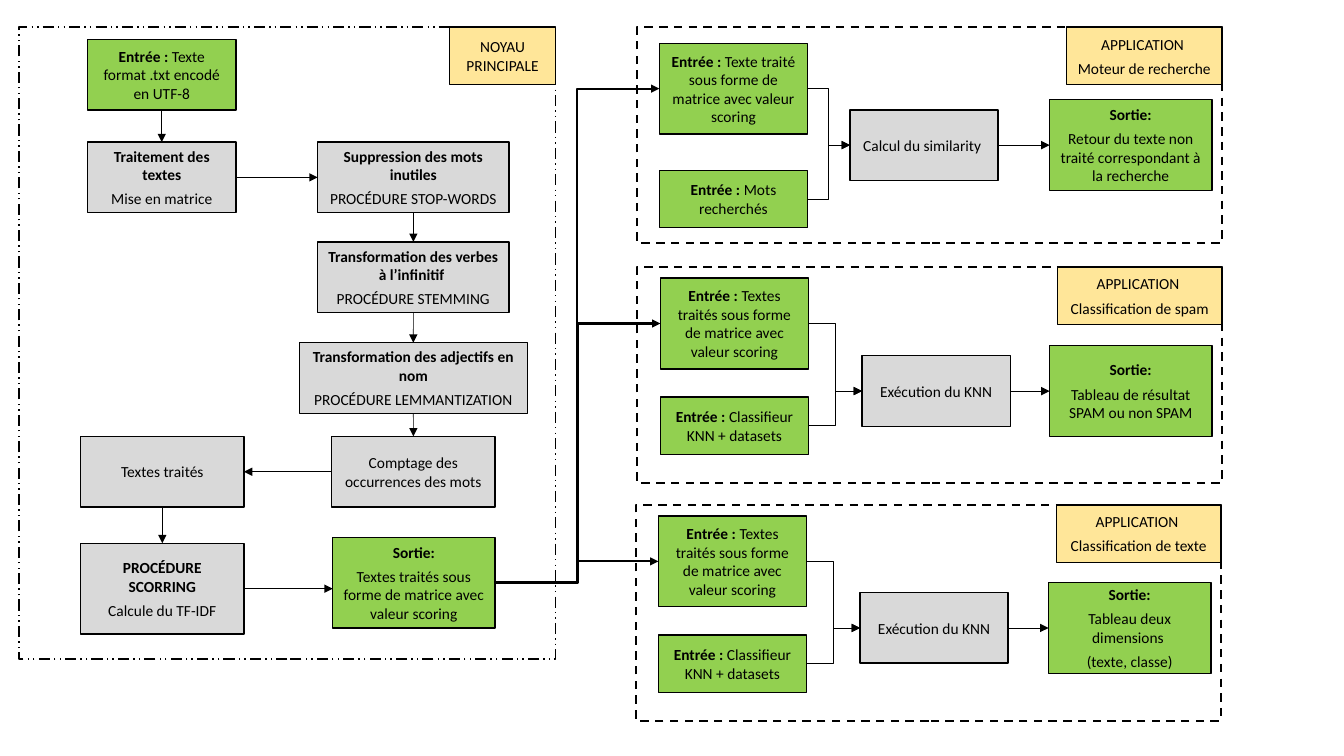
from dataclasses import dataclass
from typing import NamedTuple

from lxml.etree import SubElement
from pptx import Presentation
from pptx.dml.color import RGBColor
from pptx.enum.dml import MSO_LINE
from pptx.enum.shapes import MSO_CONNECTOR, MSO_SHAPE
from pptx.enum.text import MSO_ANCHOR, PP_ALIGN
from pptx.oxml.ns import qn
from pptx.shapes.autoshape import Shape
from pptx.slide import Slide
from pptx.util import Inches, Pt

GREEN, GREY, YELLOW, BLACK = "92D050", "D9D9D9", "FFE699", "000000"
TOP, LEFT, BOTTOM, RIGHT = range(4)


class Para(NamedTuple):
    bold: str = ""
    plain: str = ""


@dataclass
class Box:
    left: float
    top: float
    width: float
    height: float
    fill: str
    paras: list[Para]

    def site(self, side: int) -> tuple[float, float]:
        """Middle of one side, in inches."""
        across, down = {TOP: (0.5, 0), LEFT: (0, 0.5), BOTTOM: (0.5, 1), RIGHT: (1, 0.5)}[side]
        return self.left + across * self.width, self.top + down * self.height


@dataclass
class Application:
    left: float
    top: float
    label_width: float
    name: str
    text_input: str
    second_input: str
    step: str
    output: list[str]
    input_dx: float = 0.22
    input_dy: float = 0.11
    second_dy: float = 1.29
    step_dx: float = 2.22
    step_dy: float = 0.87


CORE = {
    "input": Box(0.87, 0.39, 1.47, 0.7, GREEN, [Para("Entrée : ", "Texte format .txt encodé en UTF-8")]),
    "matrix": Box(0.87, 1.41, 1.47, 0.7, GREY,
                  [Para("Traitement des textes"), Para(plain="Mise en matrice")]),
    "stop_words": Box(3.15, 1.41, 1.9, 0.7, GREY,
                      [Para("Suppression des mots inutiles"), Para(plain="PROCÉDURE STOP-WORDS")]),
    "stemming": Box(3.15, 2.4, 1.9, 0.7, GREY,
                    [Para("Transformation des verbes à l’infinitif "), Para(plain="PROCÉDURE STEMMING")]),
    "lemmas": Box(2.97, 3.4, 2.26, 0.7, GREY,
                  [Para("Transformation des adjectifs en nom"), Para(plain="PROCÉDURE LEMMANTIZATION")]),
    "count": Box(3.29, 4.33, 1.62, 0.7, GREY, [Para(plain="Comptage des occurrences des mots")]),
    "treated": Box(0.8, 4.33, 1.62, 0.7, GREY, [Para(plain="Textes traités")]),
    "scoring": Box(0.8, 5.39, 1.62, 0.9, GREY,
                   [Para("PROCÉDURE SCORRING"), Para(plain="Calcule du TF-IDF")]),
    "output": Box(3.3, 5.33, 1.61, 0.9, GREEN,
                  [Para("Sortie:"), Para(plain="Textes traités sous forme de matrice avec valeur scoring")]),
}
CORE_LINKS = [
    ("input", BOTTOM, "matrix", TOP),
    ("matrix", RIGHT, "stop_words", LEFT),
    ("stop_words", BOTTOM, "stemming", TOP),
    ("stemming", BOTTOM, "lemmas", TOP),
    ("lemmas", BOTTOM, "count", TOP),
    ("count", LEFT, "treated", RIGHT),
    ("treated", BOTTOM, "scoring", TOP),
    ("scoring", RIGHT, "output", LEFT),
]
TREATED_TEXTS = "Textes traités sous forme de matrice avec valeur scoring"
APPLICATIONS = [
    Application(6.32, 0.27, 1.54, "Moteur de recherche",
                "Texte traité sous forme de matrice avec valeur scoring", "Mots recherchés",
                "Calcul du similarity ", ["Retour du texte non traité correspondant à la recherche"],
                input_dy=0.16, second_dy=1.42, step_dx=2.11, step_dy=0.82),
    Application(6.32, 2.65, 1.63, "Classification de spam", TREATED_TEXTS, "Classifieur KNN + datasets",
                "Exécution du KNN", ["Tableau de résultat SPAM ou non SPAM"],
                input_dx=0.23, step_dx=2.23, step_dy=0.88),
    Application(6.31, 5.01, 1.63, "Classification de texte", TREATED_TEXTS, "Classifieur KNN + datasets",
                "Exécution du KNN", ["Tableau deux dimensions ", "(texte, classe)"]),
]
APP_WIDTH, APP_HEIGHT, LABEL_HEIGHT = 5.8, 2.14, 0.57


def color(hex_code: str) -> RGBColor:
    return RGBColor.from_string(hex_code)


def add_rectangle(slide: Slide, left: float, top: float, width: float, height: float,
                  weight: float) -> Shape:
    rectangle = slide.shapes.add_shape(MSO_SHAPE.RECTANGLE, Inches(left), Inches(top),
                                       Inches(width), Inches(height))
    rectangle.shadow.inherit = False
    rectangle.line.color.rgb = color(BLACK)
    rectangle.line.width = Pt(weight)
    return rectangle


def add_frame(slide: Slide, left: float, top: float, width: float, height: float,
              weight: float, dash: MSO_LINE) -> None:
    frame = add_rectangle(slide, left, top, width, height, weight)
    frame.fill.background()
    frame.line.dash_style = dash


def add_box(slide: Slide, box: Box) -> Shape:
    shape = add_rectangle(slide, box.left, box.top, box.width, box.height, 1)
    shape.fill.solid()
    shape.fill.fore_color.rgb = color(box.fill)
    frame = shape.text_frame
    frame.word_wrap = True
    frame.vertical_anchor = MSO_ANCHOR.MIDDLE
    for index, para in enumerate(box.paras):
        paragraph = frame.add_paragraph() if index else frame.paragraphs[0]
        paragraph.alignment = PP_ALIGN.CENTER
        paragraph.space_after = Pt(4)
        font = paragraph.font
        font.name, font.size, font.bold = "Calibri", Pt(11), bool(para.bold)
        font.color.rgb = color(BLACK)
        if para.bold:
            paragraph.add_run().text = para.bold
        if para.plain:
            run = paragraph.add_run()
            run.text = para.plain
            if para.bold:
                run.font.bold = False
    return shape


def add_arrow(slide: Slide, source: Box, start: int, target: Box, end: int, shapes: dict[int, Shape],
              kind: MSO_CONNECTOR = MSO_CONNECTOR.STRAIGHT, weight: float = 0.5) -> None:
    x1, y1 = source.site(start)
    x2, y2 = target.site(end)
    # A straight arrow between sides of unequal height stays level, off the target's middle
    level = kind == MSO_CONNECTOR.STRAIGHT and start == RIGHT and abs(y2 - y1) > 0.02
    if level:
        y2 = y1
    arrow = slide.shapes.add_connector(kind, Inches(x1), Inches(y1), Inches(x2), Inches(y2))
    arrow.begin_connect(shapes[id(source)], start)
    if not level:
        arrow.end_connect(shapes[id(target)], end)
    arrow.line.color.rgb = color(BLACK)
    arrow.line.width = Pt(weight)
    properties = arrow._element.spPr
    SubElement(properties.find(qn("a:ln")), qn("a:tailEnd"), type="triangle")
    SubElement(properties, qn("a:effectLst"))


def add_application(slide: Slide, app: Application, core_output: Box, shapes: dict[int, Shape]) -> None:
    add_frame(slide, app.left, app.top, APP_WIDTH, APP_HEIGHT, 1.5, MSO_LINE.DASH)
    label = Box(app.left + APP_WIDTH - app.label_width, app.top, app.label_width, LABEL_HEIGHT, YELLOW,
                [Para(plain="APPLICATION "), Para(plain=app.name)])
    input_left = app.left + app.input_dx
    text_input = Box(input_left, app.top + app.input_dy, 1.47, 0.9, GREEN,
                     [Para("Entrée : ", app.text_input)])
    second_input = Box(input_left, app.top + app.second_dy, 1.47, 0.57, GREEN,
                       [Para("Entrée : ", app.second_input)])
    step = Box(app.left + app.step_dx, app.top + app.step_dy, 1.47, 0.7, GREY, [Para(plain=app.step)])
    output = Box(app.left + 4.09, step.top - 0.1, 1.61, 0.9, GREEN,
                 [Para("Sortie:"), *(Para(plain=line) for line in app.output)])
    for box in (label, text_input, second_input, step, output):
        shapes[id(box)] = add_box(slide, box)
    for source in (text_input, second_input):
        add_arrow(slide, source, RIGHT, step, LEFT, shapes, MSO_CONNECTOR.ELBOW)
    add_arrow(slide, step, RIGHT, output, LEFT, shapes)
    add_arrow(slide, core_output, RIGHT, text_input, LEFT, shapes, MSO_CONNECTOR.ELBOW, 1.5)


def main() -> None:
    presentation = Presentation()
    presentation.slide_width, presentation.slide_height = Inches(13.33), Inches(7.5)
    slide = presentation.slides.add_slide(presentation.slide_layouts[6])

    # Core processing chain
    add_frame(slide, 0.19, 0.27, 5.32, 6.27, 1, MSO_LINE.DASH_DOT_DOT)
    add_box(slide, Box(4.46, 0.27, 1.05, LABEL_HEIGHT, YELLOW, [Para(plain="NOYAU PRINCIPALE")]))
    shapes = {id(box): add_box(slide, box) for box in CORE.values()}
    for source, start, target, end in CORE_LINKS:
        add_arrow(slide, CORE[source], start, CORE[target], end, shapes)

    # Applications fed by the core output
    for app in APPLICATIONS:
        add_application(slide, app, CORE["output"], shapes)

    presentation.save("out.pptx")


if __name__ == "__main__":
    main()
